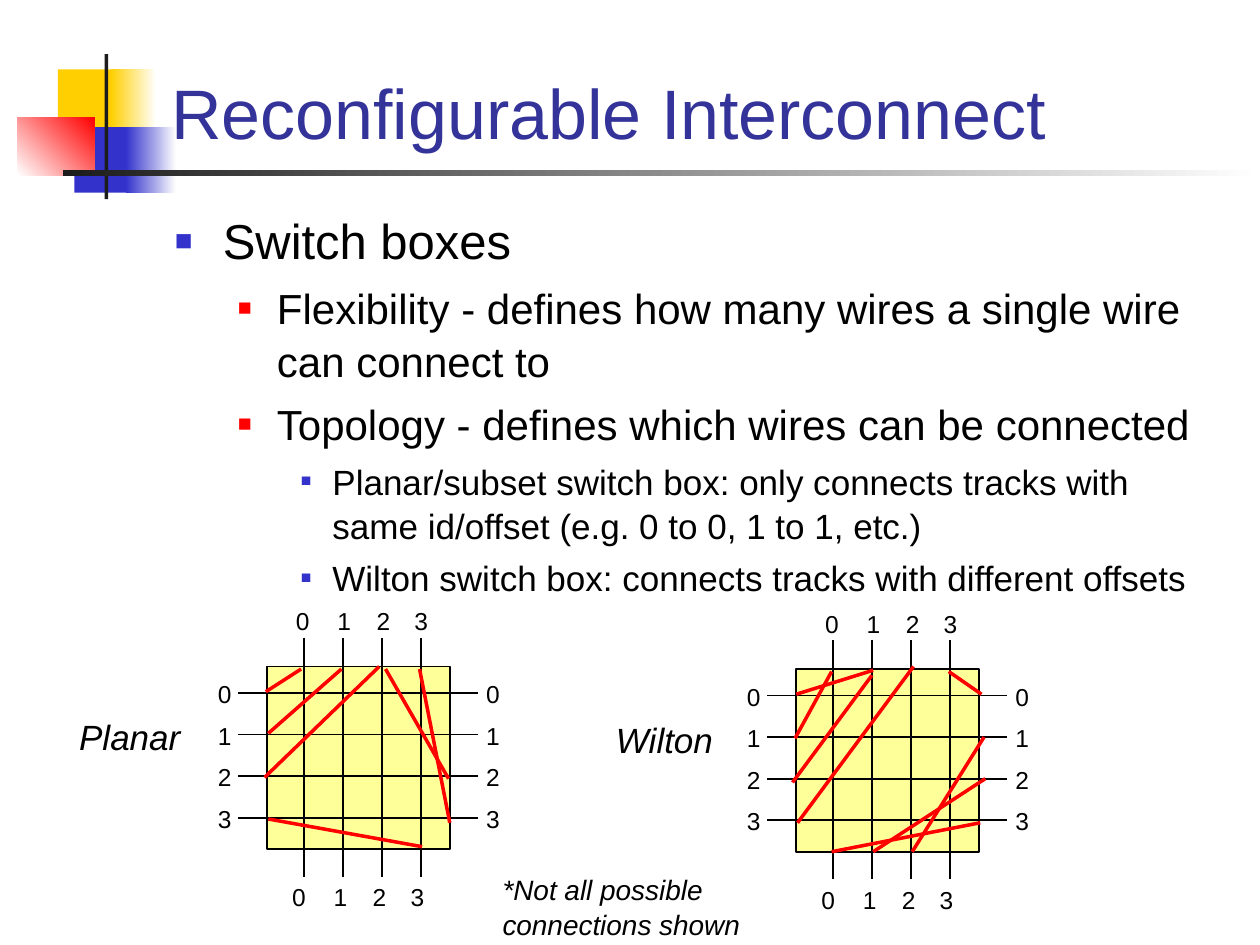
from lxml import etree
from pptx import Presentation
from pptx.dml.color import RGBColor
from pptx.enum import shapes, text
from pptx.oxml import ns
from pptx.util import Inches, Pt

BLACK = RGBColor(0, 0, 0)
WHITE = RGBColor(0xFF, 0xFF, 0xFF)
GOLD = RGBColor(0xFF, 0xCF, 0x01)
BLUE = RGBColor(0x33, 0x33, 0xCC)
RED = RGBColor(0xFF, 0, 0)
DARK = RGBColor(0x1C, 0x1C, 0x1C)
NAVY = RGBColor(0x33, 0x33, 0x99)
CREAM = RGBColor(0xFF, 0xFF, 0x99)

# left, top, width, height, colours (two make a gradient), angle
DECOR = [
    (0.46, 0.55, 0.48, 0.52, [GOLD], 0),
    (0.88, 0.55, 0.36, 0.52, [GOLD, WHITE], 0),
    (0.59, 1.01, 0.46, 0.52, [BLUE], 0),
    (1.0, 1.01, 0.4, 0.52, [BLUE, WHITE], 0),
    (0.14, 0.93, 0.61, 0.46, [WHITE, RED], 45),
    (0.83, 0.43, 0.03, 1.15, [DARK], 0),
    (0.5, 1.35, 9.5, 0.05, [DARK, WHITE], 0),
]
TITLE = "Reconfigurable Interconnect"
POINTS = [
    (0, "Switch boxes"),
    (1, "Flexibility - defines how many wires a single wire can connect to"),
    (1, "Topology - defines which wires can be connected"),
    (2, "Planar/subset switch box: only connects tracks with same id/offset "
        "(e.g. 0 to 0, 1 to 1, etc.)"),
    (2, "Wilton switch box: connects tracks with different offsets"),
]
LEVELS = [
    {"size": 28, "left": 0.38, "hang": 0.38, "gap": 7, "bullet": BLUE, "scale": 60},
    {"size": 24, "left": 0.81, "hang": 0.31, "gap": 6, "bullet": RED, "scale": 55},
    {"size": 20, "left": 1.25, "hang": 0.25, "gap": 5, "bullet": BLUE, "scale": 50},
]
# box corner and the red links, each x1, y1, x2, y2
BOXES = [
    (2.12, 5.29, [
        (2.11, 5.49, 2.39, 5.31), (2.13, 5.82, 2.71, 5.31),
        (3.56, 6.18, 3.06, 5.31), (3.33, 5.31, 3.57, 6.53),
        (2.1, 6.17, 3.01, 5.29), (2.13, 6.5, 3.35, 6.72)]),
    (6.32, 5.31, [
        (6.31, 5.86, 6.6, 5.33), (6.33, 6.53, 7.25, 5.29),
        (6.29, 6.21, 6.92, 5.36), (6.32, 5.51, 6.93, 5.32),
        (7.53, 5.33, 7.79, 5.51), (7.24, 6.76, 7.81, 5.85),
        (6.93, 6.76, 7.82, 6.18), (6.6, 6.76, 7.78, 6.53)]),
]
NOTES = [
    ("Planar", 0.53, 5.61, 1.04, 0.44, 20),
    ("Wilton", 4.79, 5.64, 1.04, 0.44, 20),
    ("*Not all possible connections shown", 3.89, 6.86, 2.77, 0.64, 16),
]
SIDE, TRACKS = 1.45, 4
COL, ROW = 0.31, 0.33    # track spacing
TAGS = [0.13, 0.46, 0.77, 1.07]    # label offsets across the box


def rect(x, y, w, h, fills, angle=0):
    box = slide.shapes.add_shape(shapes.MSO_SHAPE.RECTANGLE,
                                 *map(Inches, (x, y, w, h)))
    box.shadow.inherit = False
    box.line.fill.background()
    if len(fills) == 1:
        box.fill.solid()
        box.fill.fore_color.rgb = fills[0]
    else:
        box.fill.gradient()
        box.fill.gradient_angle = angle
        for stop, hue in zip(box.fill.gradient_stops, fills):
            stop.color.rgb = hue
    return box


def line(x1, y1, x2, y2, hue=BLACK, width=1):
    wire = slide.shapes.add_connector(shapes.MSO_CONNECTOR.STRAIGHT,
                                      *map(Inches, (x1, y1, x2, y2)))
    wire.line.color.rgb = hue
    wire.line.width = Pt(width)
    etree.SubElement(wire._element.spPr, ns.qn("a:effectLst"))


def style(para, size, hue=BLACK, italic=False):
    para.line_spacing = 1.05
    para.font.color.rgb = hue
    form = {"name": "Arial", "size": Pt(size), "italic": italic}
    for key, value in form.items():
        setattr(para.font, key, value)


def frame(x, y, w, h):
    area = slide.shapes.add_textbox(*map(Inches, (x, y, w, h))).text_frame
    area.word_wrap = True
    return area


def label(words, x, y, w, h, size, **look):
    area = frame(x, y, w, h)
    area.text = words
    style(area.paragraphs[0], size, **look)
    return area


def bullet(para, level):
    props = para._p.get_or_add_pPr()
    props.set("marL", str(Inches(level["left"])))
    props.set("indent", str(-Inches(level["hang"])))
    hue = etree.SubElement(props, ns.qn("a:buClr"))
    etree.SubElement(hue, ns.qn("a:srgbClr"), val=str(level["bullet"]))
    etree.SubElement(props, ns.qn("a:buSzPct"), val=str(level["scale"] * 1000))
    etree.SubElement(props, ns.qn("a:buFont"), typeface="Arial")
    etree.SubElement(props, ns.qn("a:buChar"), char="■")


def switch(x, y, links):
    """Draw one switch box with its tracks, track numbers and red links."""
    box = rect(x, y, SIDE, SIDE, [CREAM])
    box.line.color.rgb = BLACK
    box.line.width = Pt(1)
    for i in range(TRACKS):
        across, down = x + 0.29 + i * COL, y + 0.21 + i * ROW
        line(across, y - 0.23, across, y + SIDE + 0.22)
        line(x + SIDE + 0.22, down, x - 0.23, down)
        spots = [(x + TAGS[i], y - 0.54), (x + TAGS[i] - 0.03, y + 1.65),
                 (x + 1.64, down - 0.17), (x - 0.49, down - 0.17)]
        for left, top in spots:
            label(str(i), left, top, 0.38, 0.34, 14)
    for link in links:
        line(*link, hue=RED, width=2)


prs = Presentation()
prs.slide_width, prs.slide_height = Inches(10), Inches(7.5)
slide = prs.slides.add_slide(prs.slide_layouts[6])

for part in DECOR:
    rect(*part)
head = label(TITLE, 1.26, 0.02, 8.52, 1.25, 40, hue=NAVY)
head.vertical_anchor = text.MSO_ANCHOR.BOTTOM

body = frame(1.29, 1.6, 8.5, 5.1)
for i, (depth, words) in enumerate(POINTS):
    para = body.add_paragraph() if i else body.paragraphs[0]
    para.text = words
    para.level = depth
    bullet(para, LEVELS[depth])
    style(para, LEVELS[depth]["size"])
    if i:
        para.space_before = Pt(LEVELS[depth]["gap"])

for box in BOXES:
    switch(*box)
for note in NOTES:
    label(*note, italic=True)

prs.save("out.pptx")
